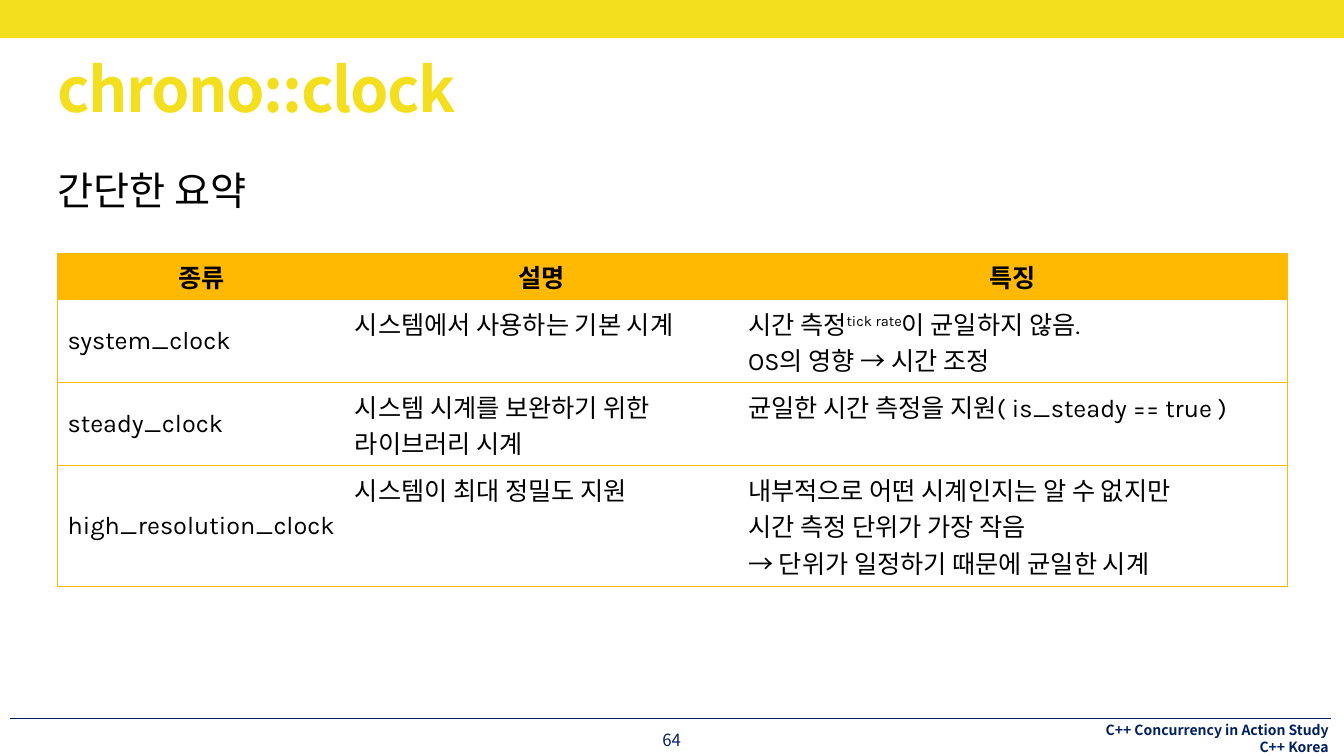
from dataclasses import dataclass

from lxml.etree import SubElement
from pptx import Presentation
from pptx.dml.color import RGBColor
from pptx.enum.shapes import MSO_CONNECTOR, MSO_SHAPE
from pptx.enum.text import MSO_ANCHOR, MSO_AUTO_SIZE, PP_ALIGN
from pptx.oxml.ns import qn
from pptx.util import Cm, Pt

YELLOW = RGBColor(0xF4, 0xDF, 0x1E)
AMBER = RGBColor(0xFF, 0xB9, 0x00)
NAVY = RGBColor(0x00, 0x20, 0x60)
BLACK = RGBColor(0x00, 0x00, 0x00)
KOREAN_FONT = "Noto Sans CJK KR"
LATIN_FONT = "Karla"


@dataclass(frozen=True)
class TextStyle:
    size: float
    color: RGBColor = BLACK
    name: str = LATIN_FONT
    bold: bool = False
    spacing: int = 0


@dataclass(frozen=True)
class TextPiece:
    text: str
    raised: bool = False


@dataclass(frozen=True)
class Label:
    left: float
    top: float
    width: float
    height: float
    lines: tuple
    style: TextStyle
    align: PP_ALIGN = PP_ALIGN.LEFT
    anchor: MSO_ANCHOR = MSO_ANCHOR.TOP
    wrap: bool = True
    line_spacing: float = 1.0


HEADER_STYLE = TextStyle(18, bold=True)
BODY_STYLE = TextStyle(18)

LABELS = (
    Label(27.74, 18.19, 5.74, 0.86, ("C++ Concurrency in Action Study", "C++ Korea"),
          TextStyle(10, NAVY, KOREAN_FONT, True), PP_ALIGN.RIGHT, wrap=False),
    Label(1.45, 1.5, 30.99, 1.7, ("chrono::clock",),
          TextStyle(44, YELLOW, KOREAN_FONT, True, -100), line_spacing=0.9),
    Label(15.52, 18.26, 2.82, 0.79, ("64",), TextStyle(12, NAVY, KOREAN_FONT),
          PP_ALIGN.CENTER, MSO_ANCHOR.MIDDLE),
    Label(1.45, 4.19, 12.62, 1.19, ("간단한 요약",), TextStyle(28)),
)

# Each cell is a tuple of paragraphs; "\v" breaks a line within a paragraph
COLUMN_WIDTHS = (7.24, 9.91, 13.84)
ROW_HEIGHTS = (1.17, 2.09, 2.09, 3.03)
CLOCK_ROWS = (
    (("종류",), ("설명",), ("특징",)),
    (("system_clock",), ("시스템에서 사용하는 기본 시계",),
     ((TextPiece("시간 측정"), TextPiece("tick rate", raised=True),
       TextPiece("이 균일하지 않음.\vOS의 영향 → 시간 조정")),)),
    (("steady_clock",), ("시스템 시계를 보완하기 위한 \v라이브러리 시계",),
     ("균일한 시간 측정을 지원( is_steady == true )",)),
    (("high_resolution_clock",), ("시스템이 최대 정밀도 지원",),
     ("내부적으로 어떤 시계인지는 알 수 없지만", "시간 측정 단위가 가장 작음",
      "→ 단위가 일정하기 때문에 균일한 시계")),
)


def add_run(paragraph, text: str, style: TextStyle, raised: bool) -> None:
    run = paragraph.add_run()
    run.text = text
    font_format = {"size": Pt(style.size), "bold": style.bold, "name": style.name}
    for attribute, value in font_format.items():
        setattr(run.font, attribute, value)
    run.font.color.rgb = style.color
    properties = run.font._element
    SubElement(properties, qn("a:ea")).set("typeface", KOREAN_FONT)
    if style.spacing:
        properties.set("spc", str(style.spacing))
    if raised:
        properties.set("baseline", "30000")


def write_text(text_frame, lines: tuple, style: TextStyle, align: PP_ALIGN,
               line_spacing: float = 1.0) -> None:
    for index, line in enumerate(lines):
        paragraph = text_frame.add_paragraph() if index else text_frame.paragraphs[0]
        paragraph.alignment = align
        paragraph.line_spacing = line_spacing
        pieces = (TextPiece(line),) if isinstance(line, str) else line
        for piece in pieces:
            for part_index, part in enumerate(piece.text.split("\v")):
                if part_index:
                    paragraph.add_line_break()
                add_run(paragraph, part, style, piece.raised)


def add_label(slide, label: Label) -> None:
    box = slide.shapes.add_textbox(Cm(label.left), Cm(label.top),
                                   Cm(label.width), Cm(label.height))
    frame_format = {"margin_left": 0, "margin_right": 0, "margin_top": 0,
                    "margin_bottom": 0, "word_wrap": label.wrap,
                    "auto_size": MSO_AUTO_SIZE.NONE, "vertical_anchor": label.anchor}
    for attribute, value in frame_format.items():
        setattr(box.text_frame, attribute, value)
    write_text(box.text_frame, label.lines, label.style, label.align, label.line_spacing)


def set_border(cell, side: str, visible: bool) -> None:
    line = SubElement(cell._tc.get_or_add_tcPr(), qn(f"a:ln{side}"))
    if visible:
        line.set("w", str(Pt(0.75)))
        fill = SubElement(line, qn("a:solidFill"))
        SubElement(fill, qn("a:srgbClr")).set("val", str(AMBER))
    else:
        SubElement(line, qn("a:noFill"))


def add_clock_table(slide) -> None:
    table = slide.shapes.add_table(
        len(ROW_HEIGHTS), len(COLUMN_WIDTHS), Cm(1.45), Cm(6.38),
        Cm(sum(COLUMN_WIDTHS)), Cm(sum(ROW_HEIGHTS))).table
    for column, width in zip(table.columns, COLUMN_WIDTHS):
        column.width = Cm(width)
    for row, height in zip(table.rows, ROW_HEIGHTS):
        row.height = Cm(height)
    last_column = len(COLUMN_WIDTHS) - 1
    for row_index, row in enumerate(CLOCK_ROWS):
        header = row_index == 0
        for column_index, lines in enumerate(row):
            cell = table.cell(row_index, column_index)
            write_text(cell.text_frame, lines, HEADER_STYLE if header else BODY_STYLE,
                       PP_ALIGN.CENTER if header else PP_ALIGN.LEFT)
            centred = header or column_index == 0
            cell.vertical_anchor = MSO_ANCHOR.MIDDLE if centred else MSO_ANCHOR.TOP
            borders = {"L": column_index == 0, "R": column_index == last_column,
                       "T": True, "B": True}
            for side, visible in borders.items():
                set_border(cell, side, visible)
            if header:
                cell.fill.solid()
                cell.fill.fore_color.rgb = AMBER
            else:
                cell.fill.background()


def add_frame(slide) -> None:
    # Footer rule
    rule = slide.shapes.add_connector(MSO_CONNECTOR.STRAIGHT,
                                      Cm(0.25), Cm(18.11), Cm(33.53), Cm(18.11))
    rule.line.color.rgb = NAVY
    rule.line.width = Pt(1)
    SubElement(rule._element.spPr, qn("a:effectLst"))
    # Top band
    band = slide.shapes.add_shape(MSO_SHAPE.RECTANGLE, 0, 0, Cm(33.87), Cm(0.96))
    band.shadow.inherit = False
    band.fill.solid()
    band.fill.fore_color.rgb = YELLOW
    band.line.fill.background()


def main() -> None:
    presentation = Presentation()
    presentation.slide_width = Cm(33.87)
    presentation.slide_height = Cm(19.05)
    slide = presentation.slides.add_slide(presentation.slide_layouts[6])
    add_frame(slide)
    for label in LABELS:
        add_label(slide, label)
    add_clock_table(slide)
    presentation.save("out.pptx")


if __name__ == "__main__":
    main()
